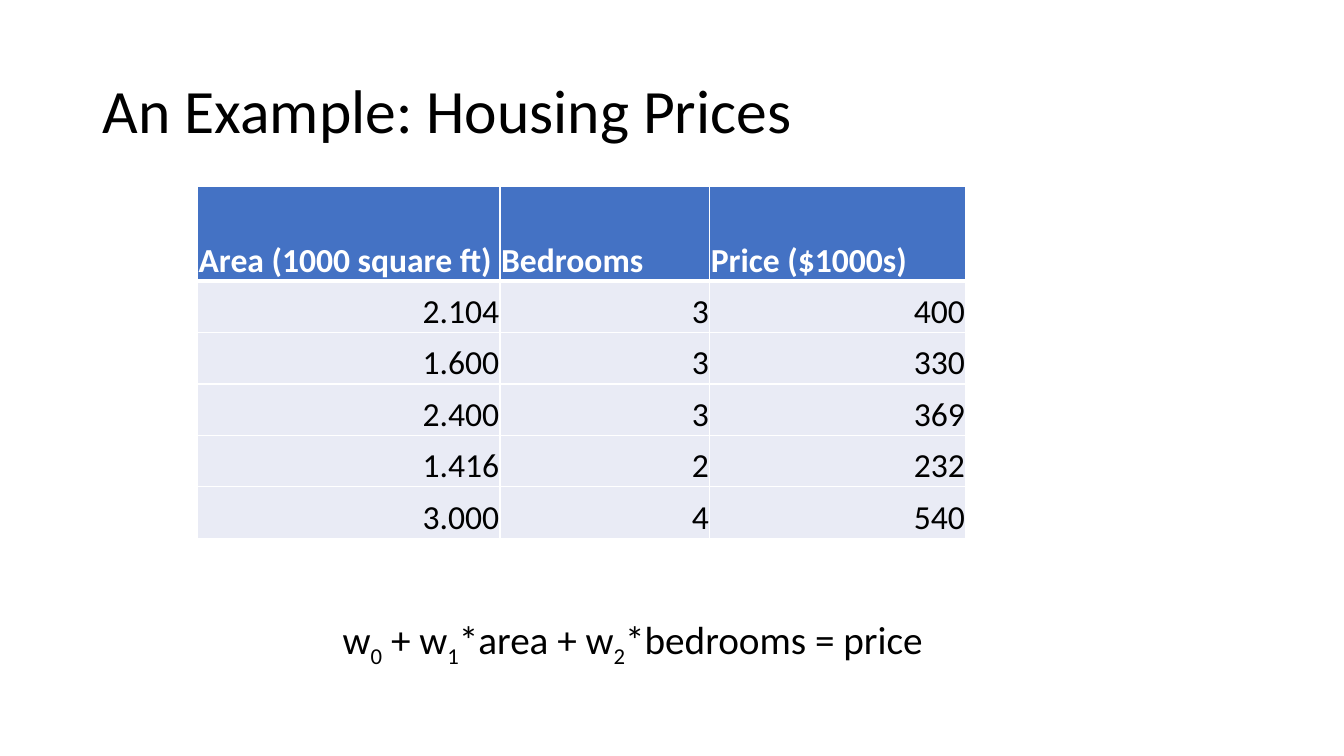
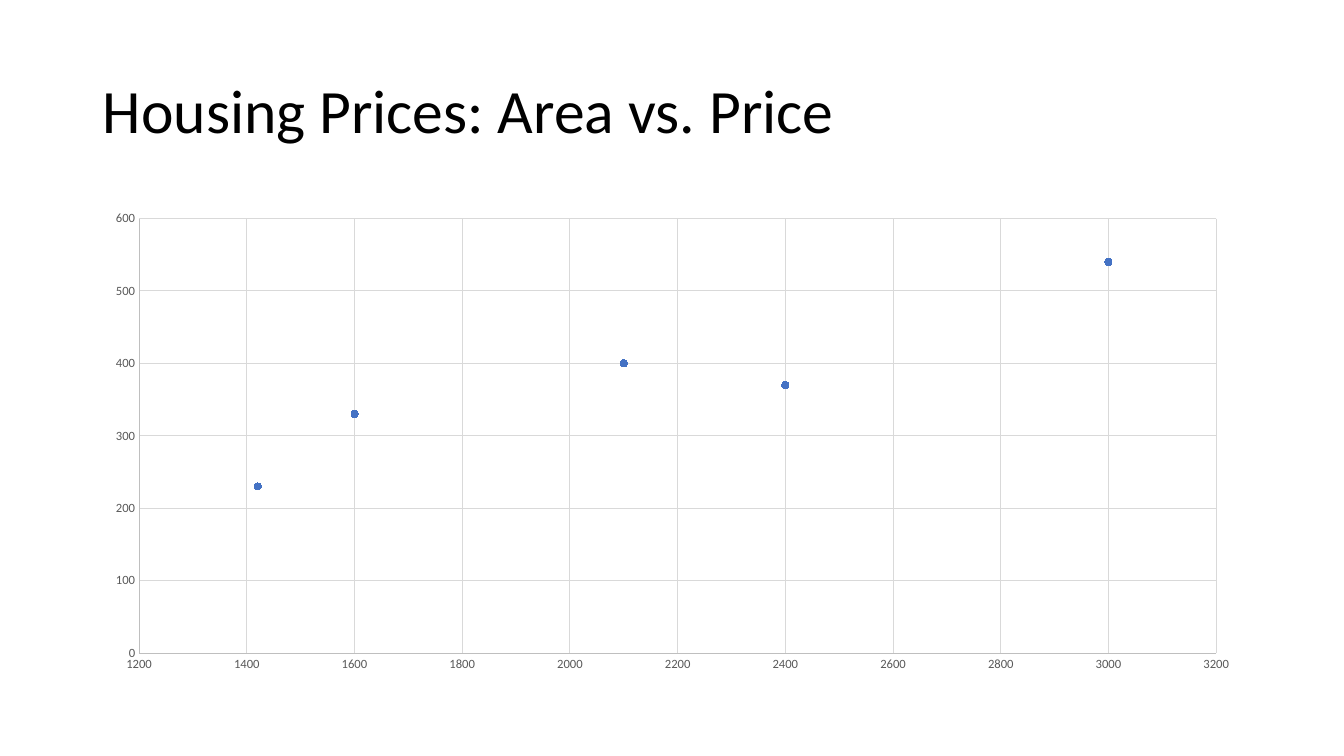
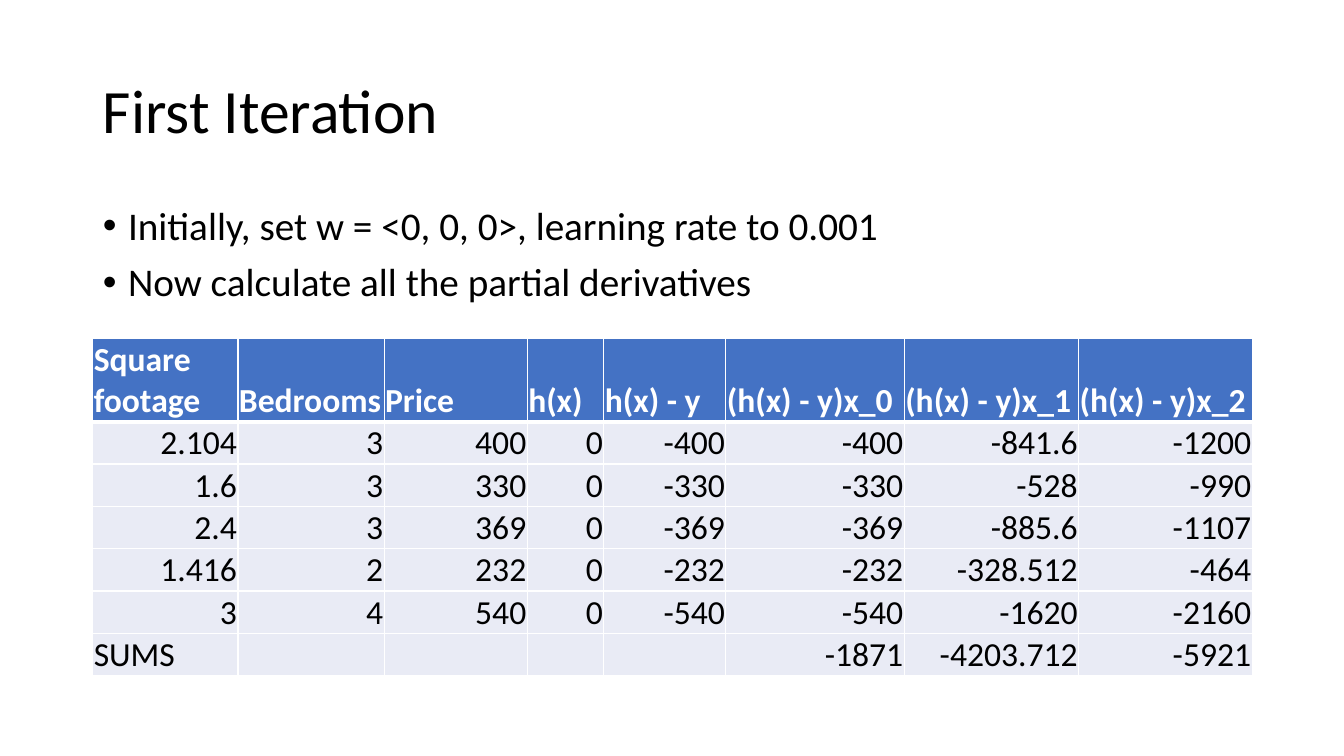
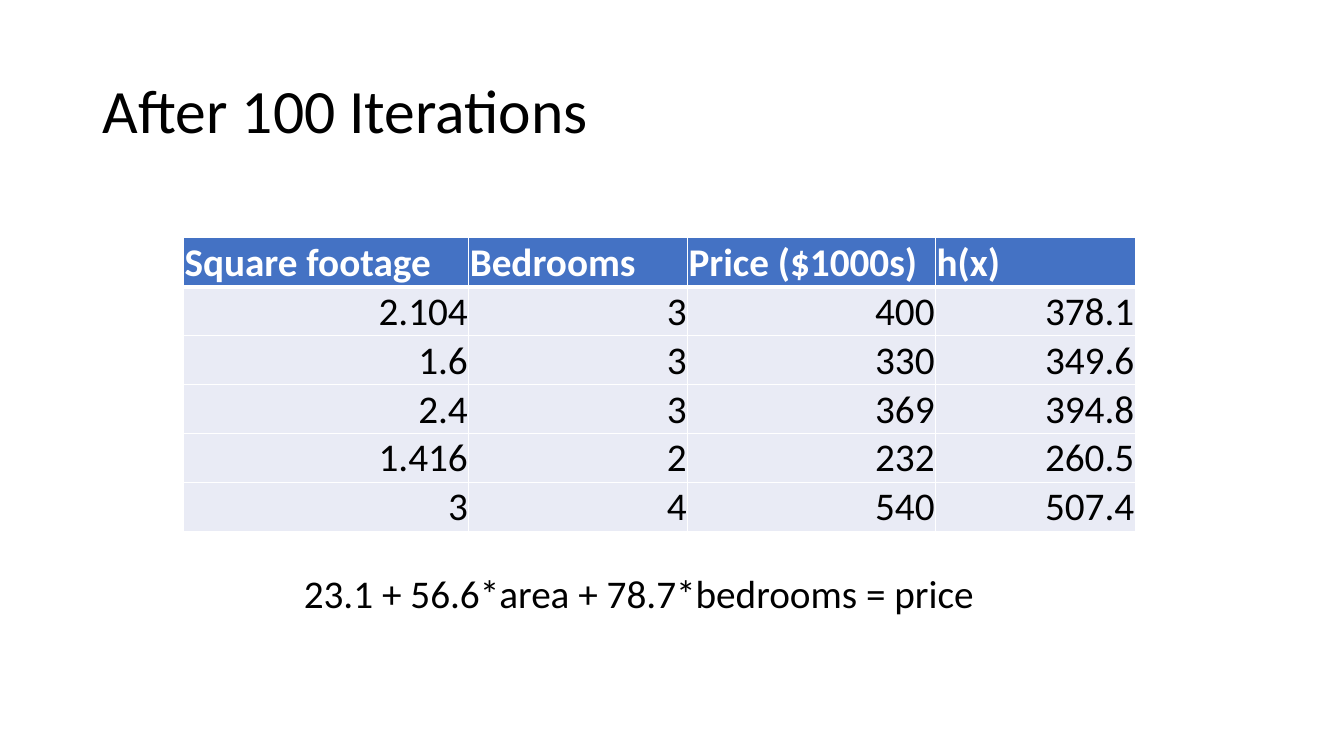
from dataclasses import dataclass

from lxml import etree
from pptx import Presentation
from pptx import util as u
from pptx.chart import data as chart_data
from pptx.dml.color import RGBColor
from pptx.enum import chart as ch, text
from pptx.oxml.ns import qn

PX = 9144  # EMU in one px, 100 px to the inch
TITLE_ONLY, TITLE_BODY = 5, 1  # layouts of the default template


@dataclass(frozen=True)
class Theme:
    font: str = "Calibri"
    black: str = "000000"
    white: str = "FFFFFF"
    blue: str = "4472C4"
    pale: str = "E9EBF5"
    label: str = "595959"
    axis: str = "BFBFBF"
    grid: str = "D9D9D9"
    title: int = 44
    body: int = 28
    cell: int = 24
    tick: int = 9


T = Theme()
TITLE_BOX = (92, 40, 1150, 145)
CONTENT_BOX = (92, 200, 1150, 476)


def rgb(value):
    return RGBColor.from_string(value)


def emu(box):
    return [n * PX for n in box]


def style_font(font, size, color=T.black, bold=False):
    font.name, font.size, font.bold = T.font, u.Pt(size), bold
    font.color.rgb = rgb(color)


def add_run(p, words, size, color=T.black, bold=False):
    r = p.add_run()
    r.text = words
    style_font(r.font, size, color, bold)
    return r


def place(sp, box):
    sp.left, sp.top, sp.width, sp.height = emu(box)


def titled_slide(prs, title, layout=TITLE_ONLY):
    s = prs.slides.add_slide(prs.slide_layouts[layout])
    sp = s.shapes.title
    place(sp, TITLE_BOX)
    tf = sp.text_frame
    tf.auto_size = text.MSO_AUTO_SIZE.NONE
    tf.vertical_anchor = text.MSO_ANCHOR.MIDDLE
    p = tf.paragraphs[0]
    p.alignment, p.line_spacing = text.PP_ALIGN.LEFT, 0.9
    add_run(p, title, T.title)
    return s


def bullet_list(s, box, items):
    sp = s.placeholders[1]
    place(sp, box)
    tf = sp.text_frame
    tf.auto_size = text.MSO_AUTO_SIZE.NONE
    for i, item in enumerate(items):
        p = tf.add_paragraph() if i else tf.paragraphs[0]
        pPr = p._p.get_or_add_pPr()
        pPr.set("marL", str(25 * PX))
        pPr.set("indent", str(-25 * PX))
        p.line_spacing, p.space_before = 0.9, u.Pt(10 if i else 0)
        add_run(p, item, T.body)


def formula(s, box, parts):
    """Centred line; parts alternate between plain text and subscript."""
    tf = s.shapes.add_textbox(*emu(box)).text_frame
    tf.word_wrap = True
    p = tf.paragraphs[0]
    p.alignment = text.PP_ALIGN.CENTER
    for i, part in enumerate(parts):
        r = add_run(p, part, T.body)
        if i % 2:
            r._r.get_or_add_rPr().set("baseline", "-25000")


def cell_borders(cell, widths):
    tcPr = cell._tc.get_or_add_tcPr()
    for side, width in zip("LRTB", widths):
        ln = etree.SubElement(tcPr, qn(f"a:ln{side}"), w=str(u.Pt(width)))
        fill = etree.SubElement(ln, qn("a:solidFill"))
        etree.SubElement(fill, qn("a:srgbClr"), val=T.white)


def data_table(s, left, top, cols, head_h, row_h, rows, size=T.cell):
    """Blue heading row over pale rows; numbers right, words left."""
    heights = [head_h] + [row_h] * (len(rows) - 1)
    box = (left, top, sum(cols), sum(heights))
    table = s.shapes.add_table(len(rows), len(cols), *emu(box)).table
    table.horz_banding = False
    for col, width in zip(table.columns, cols):
        col.width = width * PX
    for row, height in zip(table.rows, heights):
        row.height = height * PX
    for i, values in enumerate(rows):
        for j, value in enumerate(values):
            cell = table.cell(i, j)
            cell_borders(cell, (1, 1, 3 if i == 1 else 1, 1 if i else 3))
            cell.fill.solid()
            cell.fill.fore_color.rgb = rgb(T.pale if i else T.blue)
            cell.margin_left = cell.margin_right = cell.margin_top = PX
            cell.margin_bottom = 0
            cell.vertical_anchor = text.MSO_ANCHOR.BOTTOM
            if not value:
                continue
            p = cell.text_frame.paragraphs[0]
            if i and not value.isalpha():
                p.alignment = text.PP_ALIGN.RIGHT
            add_run(p, value, size, T.black if i else T.white, not i)


def scatter_axis(axis, low, high, step):
    axis.minimum_scale, axis.maximum_scale, axis.major_unit = low, high, step
    axis.major_tick_mark = axis.minor_tick_mark = ch.XL_TICK_MARK.NONE
    axis.has_major_gridlines = True
    for line, color in ((axis.format.line, T.axis),
                        (axis.major_gridlines.format.line, T.grid)):
        line.color.rgb, line.width = rgb(color), u.Pt(0.75)
    style_font(axis.tick_labels.font, T.tick, T.label)


def scatter_chart(s, box, points):
    data = chart_data.XyChartData()
    series = data.add_series("Series 1")
    for x, y in points:
        series.add_data_point(x, y)
    chart = s.shapes.add_chart(
        ch.XL_CHART_TYPE.XY_SCATTER, *emu(box), data).chart
    chart.has_legend = chart.has_title = False
    style_font(chart.font, 10)
    scatter_axis(chart.category_axis, 1200, 3200, 200)
    scatter_axis(chart.value_axis, 0, 600, 100)
    plot = chart.plots[0]
    plot.vary_by_categories = False
    dots = plot.series[0]
    dots.smooth = False
    dots.format.line.fill.background()
    dots.marker.style, dots.marker.size = ch.XL_MARKER_STYLE.CIRCLE, 5
    dots.marker.format.fill.solid()
    dots.marker.format.fill.fore_color.rgb = rgb(T.blue)
    dots.marker.format.line.color.rgb = rgb(T.blue)


def main():
    prs = Presentation()
    prs.slide_width, prs.slide_height = emu((1333, 750))

    # Data and model
    s = titled_slide(prs, "An Example: Housing Prices")
    data_table(s, 196, 185, (300, 208, 254), 94, 51, [
        ("Area (1000 square ft)", "Bedrooms", "Price ($1000s)"),
        ("2.104", "3", "400"),
        ("1.600", "3", "330"),
        ("2.400", "3", "369"),
        ("1.416", "2", "232"),
        ("3.000", "4", "540"),
    ])
    formula(s, (92, 606, 1071, 57), (
        "w", "0", " + w", "1", "*area + w", "2", "*bedrooms = price"))

    # Scatter of area and price
    s = titled_slide(prs, "Housing Prices: Area vs. Price")
    scatter_chart(s, CONTENT_BOX, [
        (2100, 400), (1600, 330), (2400, 370), (1420, 230), (3000, 540)])

    # Partial derivatives
    s = titled_slide(prs, "First Iteration", TITLE_BODY)
    bullet_list(s, CONTENT_BOX, (
        "Initially, set w = <0, 0, 0>, learning rate to 0.001",
        "Now calculate all the partial derivatives"))
    data_table(s, 92, 336, (144, 145, 142, 76, 121, 177, 173, 172), 82, 42, [
        ("Square footage", "Bedrooms", "Price", "h(x)", "h(x) - y",
         "(h(x) - y)x_0", "(h(x) - y)x_1", "(h(x) - y)x_2"),
        ("2.104", "3", "400", "0", "-400", "-400", "-841.6", "-1200"),
        ("1.6", "3", "330", "0", "-330", "-330", "-528", "-990"),
        ("2.4", "3", "369", "0", "-369", "-369", "-885.6", "-1107"),
        ("1.416", "2", "232", "0", "-232", "-232", "-328.512", "-464"),
        ("3", "4", "540", "0", "-540", "-540", "-1620", "-2160"),
        ("SUMS", "", "", "", "", "-1871", "-4203.712", "-5921"),
    ])

    # Fitted model
    s = titled_slide(prs, "After 100 Iterations")
    data_table(s, 182, 236, (283, 217, 246, 198), 48, 48, [
        ("Square footage", "Bedrooms", "Price ($1000s)", "h(x)"),
        ("2.104", "3", "400", "378.1"),
        ("1.6", "3", "330", "349.6"),
        ("2.4", "3", "369", "394.8"),
        ("1.416", "2", "232", "260.5"),
        ("3", "4", "540", "507.4"),
    ], T.body)
    formula(s, (287, 560, 693, 57),
            ("23.1 + 56.6*area + 78.7*bedrooms = price",))

    prs.save("out.pptx")


if __name__ == "__main__":
    main()
